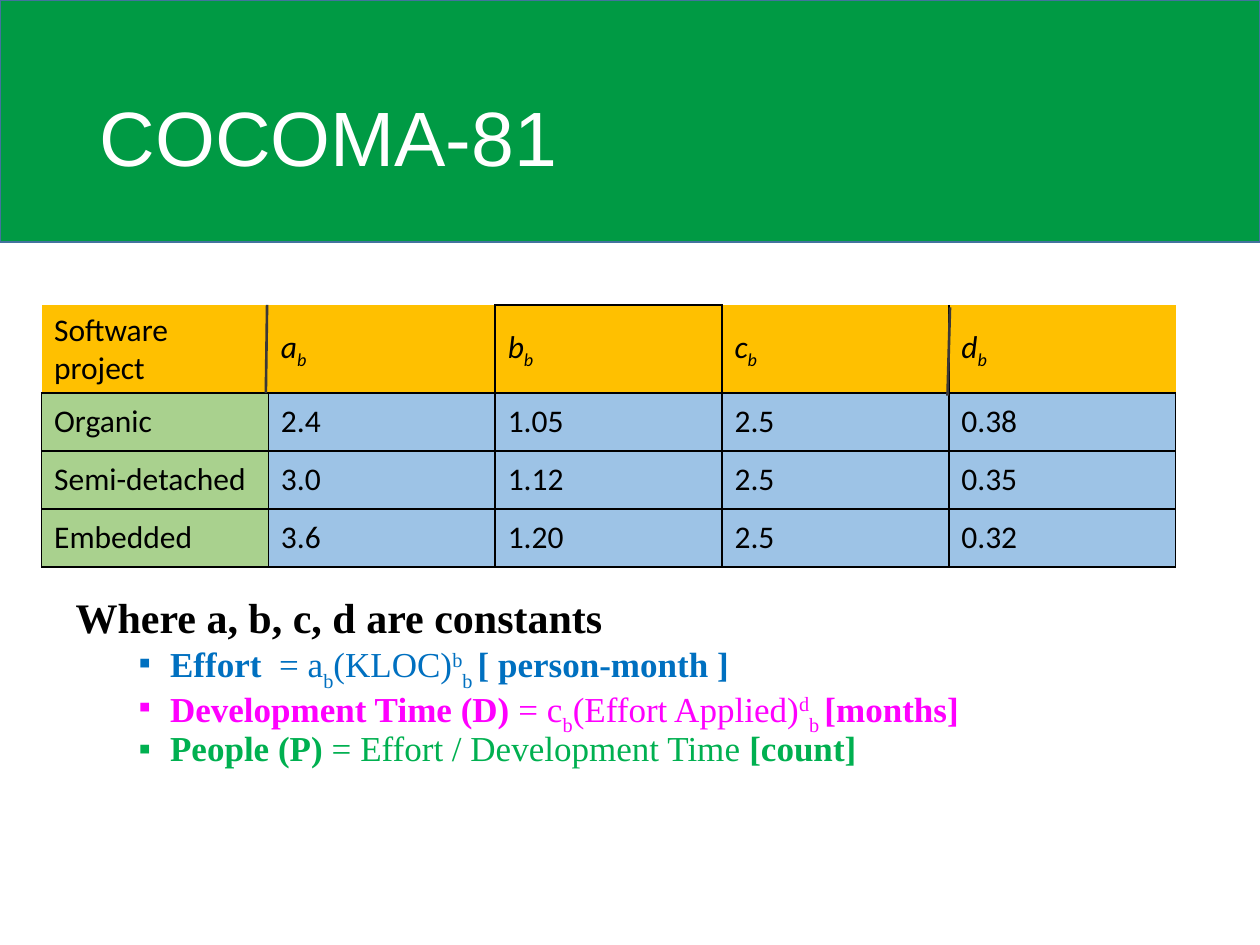
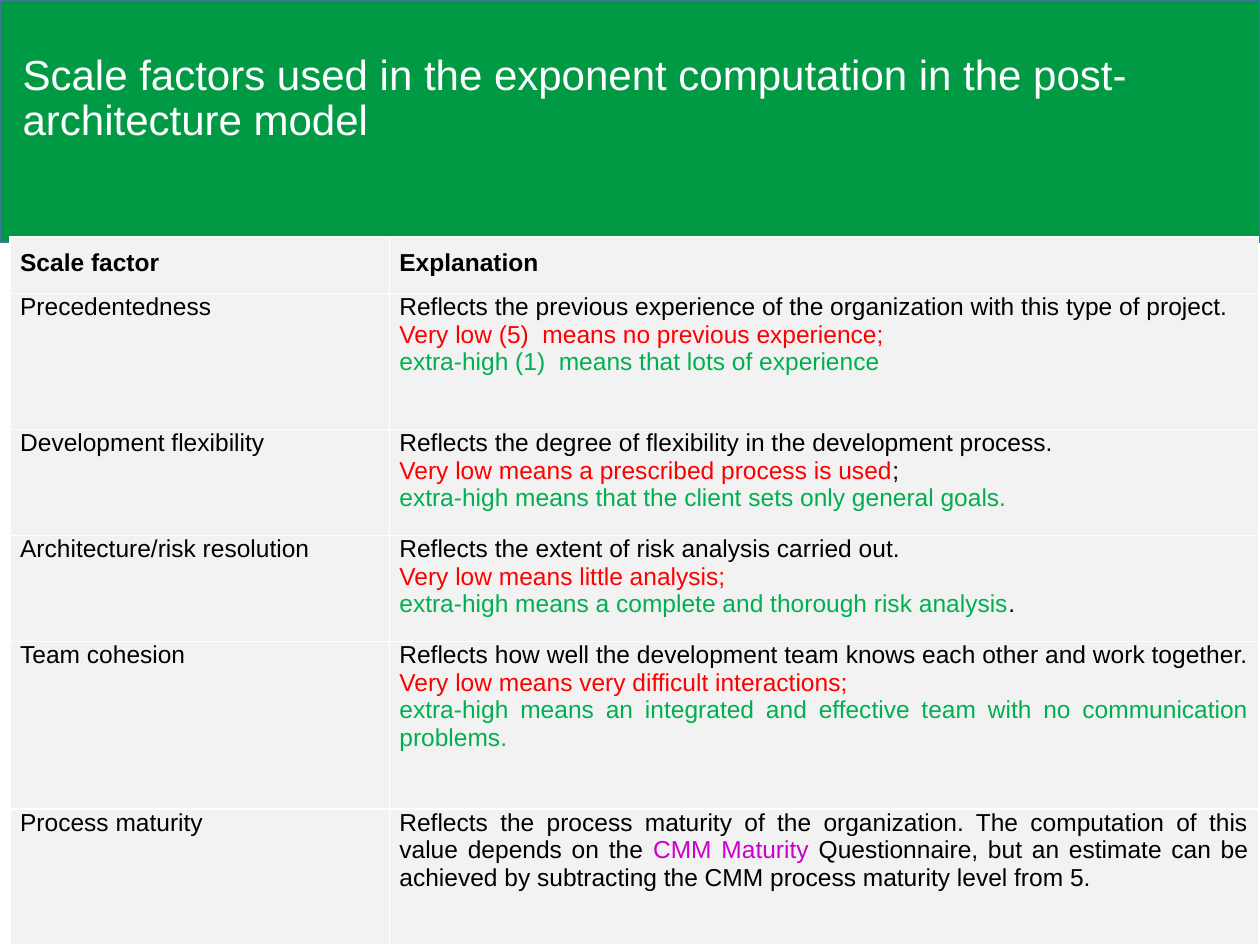
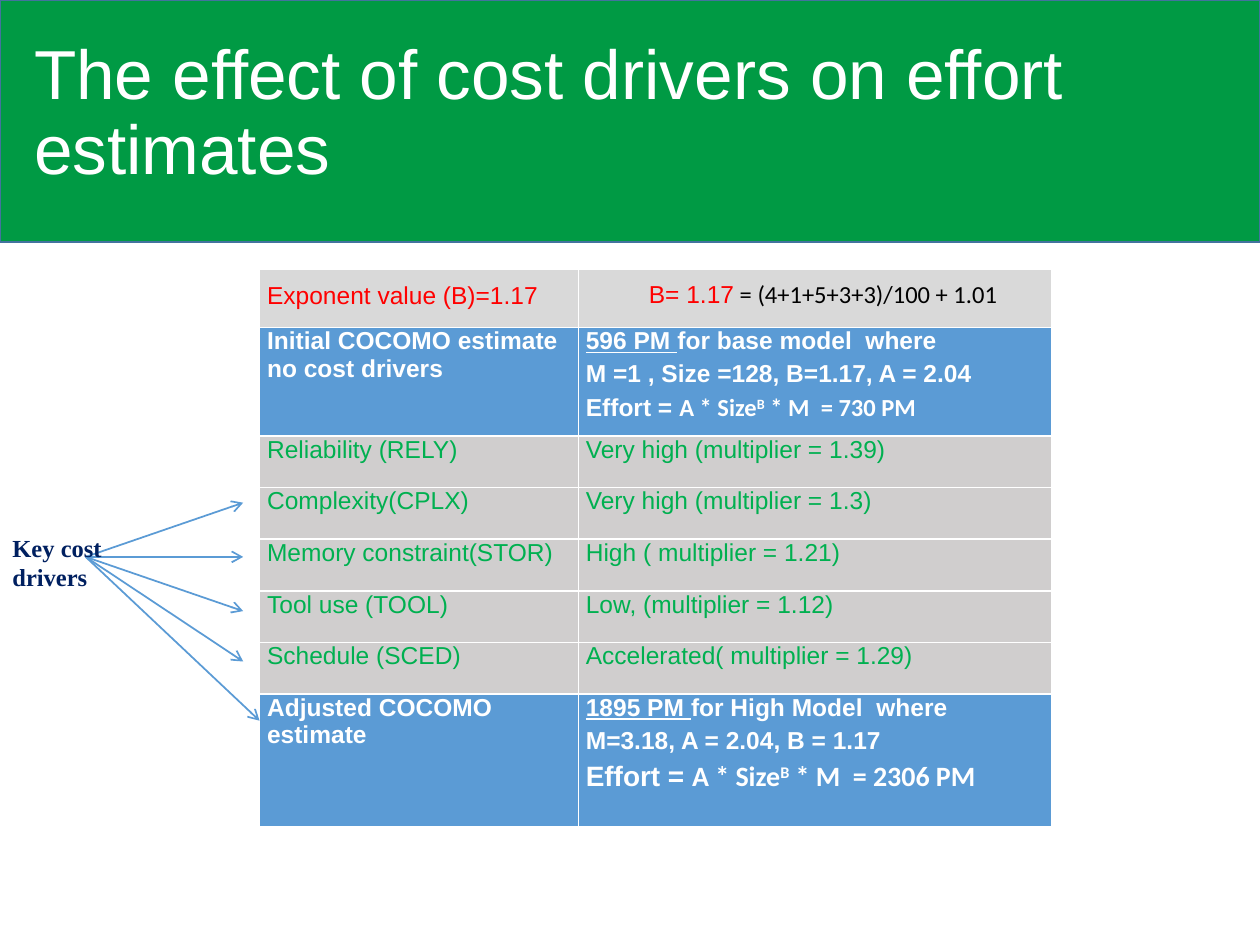
from lxml.etree import SubElement
from pptx import Presentation
from pptx.dml.color import RGBColor
from pptx.enum.shapes import MSO_CONNECTOR, MSO_SHAPE
from pptx.enum.text import MSO_ANCHOR, MSO_AUTO_SIZE, PP_ALIGN
from pptx.oxml.ns import qn
from pptx.util import Inches, Pt

GREEN, BLACK, WHITE, RED, LEAF = "009A44", "000000", "FFFFFF", "FF0000", "00B050"
BLUE, GREY, PALE = "5B9BD5", "D0CECE", "F2F2F2"
PLAIN = "{2D5ABB26-0587-4C30-8999-92F81FD0307C}"
hue = RGBColor.from_string


def write(par, runs, **style):
    """Add (text, overrides) runs; a plain string is a single run."""
    for text, *own in [(runs,)] if isinstance(runs, str) else runs:
        look = style | (own[0] if own else {})
        run = par.add_run()
        run.text = text
        font = run.font
        font.name, font.size = look["face"], Pt(look["size"])
        font.color.rgb = hue(look["color"])
        font.bold = look.get("bold", False)
        font.italic = look.get("italic", False)
        font.underline = look.get("under", False)
        if "base" in look:
            font._element.set("baseline", str(look["base"] * 1000))


def grid(slide, left, top, widths, heights, line, sides=None):
    """Add an unstyled table; sides names the ruled edges of each column."""
    table = slide.shapes.add_table(
        len(heights), len(widths), Inches(left), Inches(top),
        Inches(sum(widths)), Inches(sum(heights))).table
    table._tbl.tblPr.find(qn("a:tableStyleId")).text = PLAIN
    for col, width in zip(table.columns, widths):
        col.width = Inches(width)
    for row, height in zip(table.rows, heights):
        row.height = Inches(height)
        for n, cell in enumerate(row.cells):
            props = cell._tc.get_or_add_tcPr()
            for side in sides[n] if sides else "LRTB":
                edge = SubElement(props, qn("a:ln" + side), w=str(Pt(1)))
                fill = SubElement(edge, qn("a:solidFill"))
                SubElement(fill, qn("a:srgbClr"), val=line)
    return table


prs = Presentation()
prs.slide_width, prs.slide_height = Inches(10), Inches(7.5)

# Slides and titles
TITLES = [
    (1, "COCOMA-81", 44, (0.69, 0.4, 8.62, 1.45)),
    (5, "Scale factors used in the exponent computation in the post-architecture model",
     24, (0.08, 0.17, 8.99, 1.24)),
    (5, "The effect of cost drivers on effort estimates", 39.6, (0.17, 0.34, 9.75, 1.14)),
]
slides = []
for layout, text, size, box in TITLES:
    slide = prs.slides.add_slide(prs.slide_layouts[layout])
    title = slide.shapes.title
    title.left, title.top, title.width, title.height = map(Inches, box)
    frame = title.text_frame
    frame.auto_size = MSO_AUTO_SIZE.NONE
    frame.vertical_anchor = MSO_ANCHOR.MIDDLE
    par = frame.paragraphs[0]
    par.alignment, par.line_spacing = PP_ALIGN.LEFT, 0.9
    write(par, text, face="Arial", size=size, color=WHITE)
    slides.append(slide)
model, scale, cost = slides

# Green band, moved to the master so that every slide shows it
band = model.shapes.add_shape(MSO_SHAPE.RECTANGLE, 0, 0, Inches(10), Inches(1.92))
band.shadow.inherit = False
band.fill.solid()
band.fill.fore_color.rgb = hue(GREEN)
band.line.color.rgb = hue("43739E")
band.line.width = Pt(1)
prs.slide_master.shapes._spTree.insert(2, band._element)

# Slide 1: formulas
SUB, SUP, BOLD = {"base": -30}, {"base": 30}, {"bold": True}
FORMULAS = [
    ("0070C0", [("Effort ", BOLD), (" = a",), ("b", SUB), ("(KLOC)",), ("b", SUP),
                ("b ", SUB), ("[ person-month ]", BOLD)]),
    ("FF00FF", [("Development Time (D)", BOLD), (" = c",), ("b", SUB),
                ("(Effort Applied)",), ("d", SUP), ("b ", SUB), ("[months]", BOLD)]),
    (LEAF, [("People (P)", BOLD), (" = Effort / Development Time ",), ("[count]", BOLD)]),
]
body = model.placeholders[1]
body.left, body.top, body.width, body.height = map(Inches, (0, 4.38, 9.22, 2.62))
frame = body.text_frame
frame.auto_size = MSO_AUTO_SIZE.NONE
frame.vertical_anchor = MSO_ANCHOR.TOP
frame.margin_top = Inches(0.36)
par = frame.paragraphs[0]
par.level, par.line_spacing, par.space_before = 1, 0.9, Pt(0)
props = par._p.get_or_add_pPr()
props.set("marL", str(Inches(0.5)))
props.set("indent", "0")
SubElement(props, qn("a:buNone"))
write(par, "Where a, b, c, d are constants",
      face="Times New Roman", size=24, color=BLACK, bold=True)
for color, runs in FORMULAS:
    par = frame.add_paragraph()
    par.level, par.line_spacing, par.space_before = 2, 0.9, Pt(0)
    props = par._p.get_or_add_pPr()
    props.set("marL", str(Inches(1.25)))
    props.set("indent", str(-Inches(0.25)))
    SubElement(props, qn("a:buFont"), typeface="Arial")
    SubElement(props, qn("a:buChar"), char="▪")
    write(par, runs, face="Times New Roman", size=20, color=color)

# Slide 1: constants, as a header table above a table of values
HEAD = ["Software project"] + [
    [(name, {"italic": True}), ("b", {"italic": True, "base": -25})] for name in "abcd"]
VALUES = [
    ["Organic", "2.4", "1.05", "2.5", "0.38"],
    ["Semi-detached", "3.0", "1.12", "2.5", "0.35"],
    ["Embedded", "3.6", "1.20", "2.5", "0.32"],
]
widths = [1.8] * 5
head = grid(model, 0.33, 2.42, widths, [0.7], BLACK, ["", "R", "LRTB", "L", ""])
values = grid(model, 0.33, 3.12, widths, [0.46] * 3, BLACK)
for table, rows, first, rest in ((head, [HEAD], "FFC000", "FFC000"),
                                 (values, VALUES, "A9D18E", "9DC3E6")):
    for r, row in enumerate(rows):
        for c, runs in enumerate(row):
            cell = table.cell(r, c)
            cell.vertical_anchor = MSO_ANCHOR.MIDDLE
            cell.fill.solid()
            cell.fill.fore_color.rgb = hue(rest if c else first)
            write(cell.text_frame.paragraphs[0], runs, face="Calibri", size=18, color=BLACK)

# Slide 2: scale factors; each explanation is a list of paragraphs
LOW, HIGH = {"color": RED}, {"color": LEAF}
FACTORS = [
    ("Scale factor", ["Explanation"]),
    ("Precedentedness", [
        "Reflects the previous experience of the organization with this type of project. ",
        [("Very low (5)  means no previous experience; ", LOW)],
        [("extra-high (1)  means that lots of experience", HIGH)]]),
    ("Development flexibility", [
        "Reflects the degree of flexibility in the development process. ",
        [("Very low means a prescribed process is used", LOW), ("; ",)],
        [("extra-high means that the client sets only general goals.", HIGH)]]),
    ("Architecture/risk resolution", [
        "Reflects the extent of risk analysis carried out. ",
        [("Very low means little analysis; ", LOW)],
        [("extra-high means a complete and thorough risk analysis", HIGH), (".",)]]),
    ("Team cohesion", [
        "Reflects how well the development team knows each other and work together. ",
        [("Very low means very difficult interactions; ", LOW)],
        [("extra-high means an integrated and effective team with no communication problems.",
          HIGH)]]),
    ("Process maturity", [
        [("Reflects the process maturity of the organization. The computation of this "
          "value depends on the ",),
         ("CMM Maturity ", {"color": "CC00CC"}),
         ("Questionnaire, but an estimate can be achieved by subtracting the CMM process "
          "maturity level from 5.",)]]),
]
table = grid(scale, 0.08, 1.88, [3.01, 6.9], [0.45, 1.08, 0.84, 0.84, 1.33, 1.08], WHITE)
for r, (factor, notes) in enumerate(FACTORS):
    for c, pars in enumerate(([factor], notes)):
        cell = table.cell(r, c)
        cell.margin_left = cell.margin_right = Inches(0.08)
        cell.margin_top, cell.margin_bottom = Inches(0 if r else 0.1), Inches(0.1)
        cell.fill.solid()
        cell.fill.fore_color.rgb = hue(PALE)
        frame = cell.text_frame
        for n, runs in enumerate(pars):
            par = frame.add_paragraph() if n else frame.paragraphs[0]
            par.alignment = PP_ALIGN.JUSTIFY
            write(par, runs, face="Arial", size=14, color=BLACK, bold=r == 0)

# Slide 3: cost drivers
LINE, CAL = {"under": True}, {"face": "Calibri"}
BIG = {"size": 16}
BIGCAL = BIG | CAL
DRIVERS = [
    ("D9D9D9", RED, "Exponent value (B)=1.17",
     [[("B= 1.17",), (" = (4+1+5+3+3)/100 + 1.01", CAL | {"color": BLACK})]]),
    (BLUE, WHITE, "Initial COCOMO estimate no cost drivers",
     [[("596 PM ", LINE), ("for base model  where ",)],
      "M =1 , Size =128, B=1.17, A = 2.04",
      [("Effort = ",), ("A * Size", CAL), ("B", CAL | SUP), (" * M  = 730 PM", CAL)]]),
    (GREY, LEAF, "Reliability (RELY)", ["Very high (multiplier = 1.39)"]),
    (GREY, LEAF, "Complexity(CPLX)", ["Very high (multiplier = 1.3)"]),
    (GREY, LEAF, "Memory constraint(STOR)", ["High ( multiplier = 1.21)"]),
    (GREY, LEAF, "Tool use (TOOL)", ["Low, (multiplier = 1.12)"]),
    (GREY, LEAF, "Schedule (SCED)", ["Accelerated( multiplier = 1.29)"]),
    (BLUE, WHITE, "Adjusted COCOMO estimate",
     [[("1895 PM ", LINE), ("for High Model  where ",)],
      "M=3.18, A = 2.04, B = 1.17",
      [("Effort = ", BIG), ("A * Size", BIGCAL), ("B", BIGCAL | SUP),
       (" * M  = 2306 PM", BIGCAL)]]),
]
table = grid(cost, 2.06, 2.14, [2.53, 3.76], [0.46, 0.86] + [0.41] * 5 + [1.05], WHITE)
for r, (back, color, driver, notes) in enumerate(DRIVERS):
    for c, pars in enumerate(([driver], notes)):
        cell = table.cell(r, c)
        cell.margin_left = cell.margin_right = Inches(0.06)
        cell.margin_top = Inches(0 if r else 0.1)
        cell.margin_bottom = Inches(0.1 if r == 1 else 0)
        cell.fill.solid()
        cell.fill.fore_color.rgb = hue(back)
        frame = cell.text_frame
        for n, runs in enumerate(pars):
            par = frame.add_paragraph() if n else frame.paragraphs[0]
            par.space_after = Pt(3)
            if c and r:
                par.alignment = PP_ALIGN.JUSTIFY
            write(par, runs, face="Arial", size=14, color=color, bold=back == BLUE)
par = table.cell(0, 1).text_frame.paragraphs[0]
par.line_spacing, par.space_after = 0.9, Pt(0)
par._p.get_or_add_pPr().set("marL", str(Inches(0.5)))

# Header rules on slide 1, driver arrows on slide 3
STROKES = [(model, "3B3838", 1.5, (2.12, 2.42, 2.11, 3.12)),
           (model, "3B3838", 1.5, (7.54, 2.44, 7.52, 3.14))]
for tip in ((1.93, 3.99), (1.93, 4.42), (1.93, 4.85), (1.93, 5.25), (2.06, 5.72)):
    STROKES.append((cost, BLUE, 1, (0.68, 4.42, *tip)))
for slide, color, width, ends in STROKES:
    stroke = slide.shapes.add_connector(MSO_CONNECTOR.STRAIGHT, *map(Inches, ends))
    stroke.line.color.rgb = hue(color)
    stroke.line.width = Pt(width)
    if slide is cost:
        SubElement(stroke.line._get_or_add_ln(), qn("a:tailEnd"), type="arrow")
    SubElement(stroke._element.spPr, qn("a:effectLst"))

label = cost.shapes.add_textbox(0, Inches(4.18), Inches(0.95), Inches(0.57))
label.text_frame.word_wrap = True
write(label.text_frame.paragraphs[0], "Key cost drivers",
      face="Times New Roman", size=14, color="002060", bold=True)

prs.save("out.pptx")
